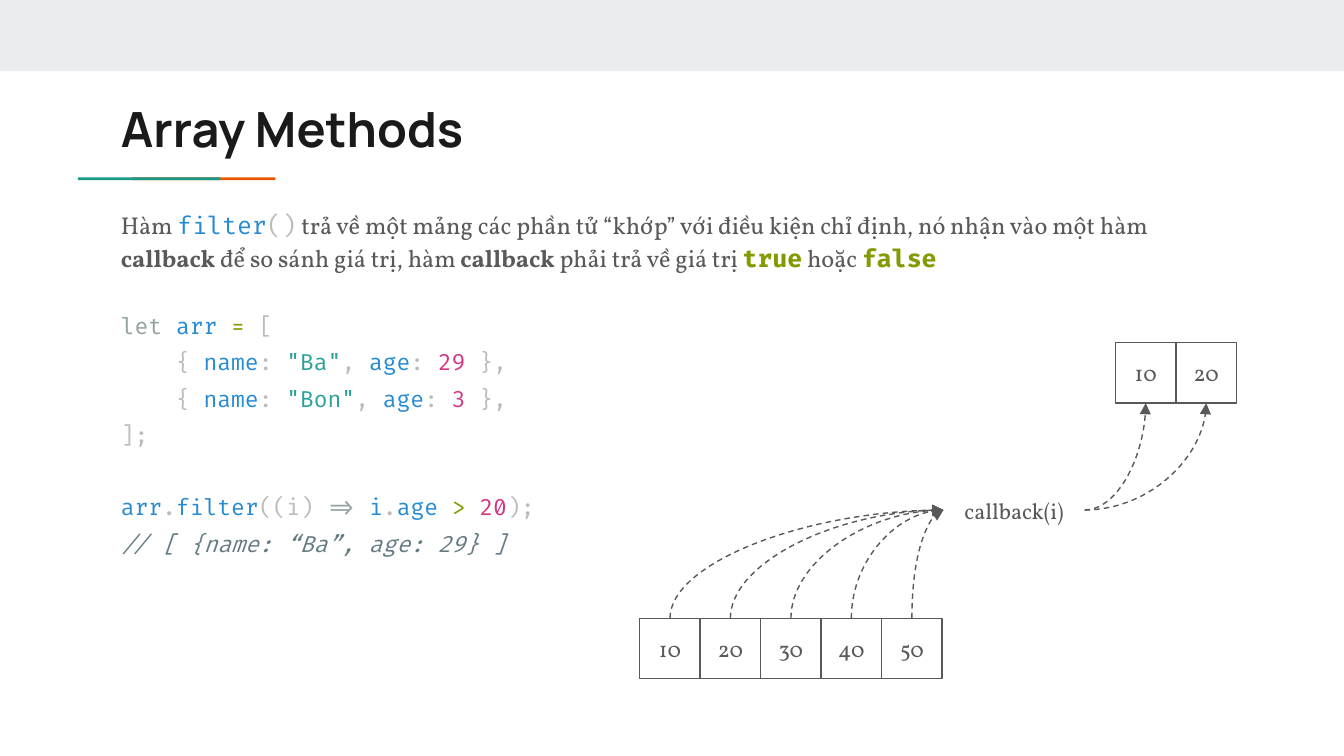
from dataclasses import dataclass
from typing import Optional

from lxml.etree import SubElement
from pptx import Presentation
from pptx.dml.color import RGBColor
from pptx.enum.dml import MSO_LINE
from pptx.enum.shapes import MSO_CONNECTOR, MSO_SHAPE
from pptx.enum.text import MSO_ANCHOR, MSO_AUTO_SIZE, PP_ALIGN
from pptx.oxml.ns import qn
from pptx.util import Emu, Pt

EMU_PER_PX = 9144
TOP, LEFT, BOTTOM, RIGHT = range(4)
CELL = 45
SERIF, CODE, HEADING = "Vollkorn", "Fira Code", "Manrope"
INK, GRAY, BLUE, GREEN = "595959", "BBBBBB", "268BD2", "859900"
CYAN, PINK, PALE, COMMENT = "2AA198", "D33682", "93A1A1", "657B83"


@dataclass(frozen=True)
class Span:
    """A stretch of text in one style."""
    text: str
    color: str = INK
    bold: bool = False
    italic: bool = False
    font: Optional[str] = None


@dataclass(frozen=True)
class Line:
    """A body paragraph with its base font and spacing."""
    spans: list
    font: str = CODE
    size: int = 12
    spacing: float = 1.36
    before: float = 0


@dataclass(frozen=True)
class Bar:
    """A filled rectangle in px."""
    left: int
    top: int
    width: int
    height: int
    color: str


def person(name: str, age: str) -> Line:
    """Return the code line of one object in the array."""
    return Line([Span("    { ", GRAY), Span("name", BLUE), Span(": ", GRAY),
                 Span(f'"{name}"', CYAN), Span(", ", GRAY), Span("age", BLUE),
                 Span(": ", GRAY), Span(age, PINK), Span(" },", GRAY)])


BARS = [
    Bar(0, 0, 1000, 53, "E9EDEE"),
    Bar(98, 132, 107, 2, "EB5600"),
    Bar(58, 132, 106, 2, "1A9988"),
]
BODY = [
    Line([Span("Hàm "), Span("filter", BLUE, font=CODE), Span("()", GRAY, font=CODE),
          Span(" trả về một mảng các phần tử “khớp” với điều kiện chỉ định, nó nhận vào một hàm "),
          Span("callback", bold=True), Span(" để so sánh giá trị, hàm "),
          Span("callback", bold=True), Span(" phải trả về giá trị "),
          Span("true", GREEN, bold=True, font=CODE), Span(" hoặc "),
          Span("false", GREEN, bold=True, font=CODE)], SERIF, 13, 1.15),
    Line([Span("let ", PALE), Span("arr ", BLUE), Span("=", GREEN), Span(" [", GRAY)], before=16),
    person("Ba", "29"),
    person("Bon", "3"),
    Line([Span("];", GRAY)]),
    Line([Span("arr", BLUE), Span(".", GRAY), Span("filter", BLUE), Span("((i) ", GRAY),
          Span("=> ", PALE), Span("i", BLUE), Span(".", GRAY), Span("age ", BLUE),
          Span("> ", GREEN), Span("20", PINK), Span(");", GRAY)], before=19),
    Line([Span("// [ {name: “Ba”, age: 29} ]", COMMENT, italic=True)]),
]


def px(length: int) -> Emu:
    """Turn px into EMU."""
    return Emu(length * EMU_PER_PX)


def color(value: str) -> RGBColor:
    """Turn a hex string into a colour."""
    return RGBColor.from_string(value)


def place(shape, left: int, top: int, width: int, height: int) -> None:
    """Move and size a shape in px."""
    shape.left, shape.top = px(left), px(top)
    shape.width, shape.height = px(width), px(height)


def prepare_frame(shape, anchor: MSO_ANCHOR):
    """Set wrapping, insets and anchor, and return the text frame."""
    frame = shape.text_frame
    frame.word_wrap, frame.auto_size = True, MSO_AUTO_SIZE.NONE
    frame.vertical_anchor = anchor
    frame.margin_left = frame.margin_right = frame.margin_top = frame.margin_bottom = px(10)
    return frame


def set_text(shape, text: str, font: str, size: int, ink: str, align: PP_ALIGN,
             anchor: MSO_ANCHOR, bold: bool = False) -> None:
    """Write one paragraph in one style."""
    paragraph = prepare_frame(shape, anchor).paragraphs[0]
    paragraph.text, paragraph.alignment = text, align
    paragraph.font.name, paragraph.font.size = font, Pt(size)
    paragraph.font.bold, paragraph.font.color.rgb = bold, color(ink)


def fill_body(body, lines: list) -> None:
    """Write the explanation and the code into the body placeholder."""
    frame = prepare_frame(body, MSO_ANCHOR.TOP)
    for index, line in enumerate(lines):
        paragraph = frame.add_paragraph() if index else frame.paragraphs[0]
        paragraph.line_spacing, paragraph.space_before = line.spacing, Pt(line.before)
        properties = paragraph._p.get_or_add_pPr()
        properties.set("marL", "0")
        properties.set("indent", "0")
        SubElement(properties, qn("a:buNone"))
        paragraph.font.name, paragraph.font.size = line.font, Pt(line.size)
        for span in line.spans:
            run = paragraph.add_run()
            run.text = span.text
            run.font.color.rgb = color(span.color)
            if span.font:
                run.font.name = span.font
            if span.bold:
                run.font.bold = True
            if span.italic:
                run.font.italic = True


def add_bar(page, bar: Bar) -> None:
    """Draw a filled rectangle."""
    shape = page.shapes.add_shape(MSO_SHAPE.RECTANGLE, px(bar.left), px(bar.top),
                                  px(bar.width), px(bar.height))
    shape.shadow.inherit = False
    shape.fill.solid()
    shape.fill.fore_color.rgb = color(bar.color)
    shape.line.fill.background()


def add_cells(page, left: int, top: int, values: list) -> list:
    """Draw a row of array cells and return them."""
    cells = []
    for index, value in enumerate(values):
        cell = page.shapes.add_shape(MSO_SHAPE.RECTANGLE, px(left + index * CELL), px(top),
                                     px(CELL), px(CELL))
        cell.shadow.inherit = False
        cell.fill.background()
        cell.line.color.rgb, cell.line.width = color(INK), Pt(0.75)
        set_text(cell, str(value), SERIF, 12, INK, PP_ALIGN.CENTER, MSO_ANCHOR.MIDDLE)
        cells.append(cell)
    return cells


def add_arrow(page, source, source_side: int, target, target_side: int) -> None:
    """Join two shapes with a dashed quarter-curve arrow."""
    arrow = page.shapes.add_connector(MSO_CONNECTOR.CURVE, 0, 0, 0, 0)
    arrow.begin_connect(source, source_side)
    arrow.end_connect(target, target_side)
    properties = arrow._element.spPr
    properties.find(qn("a:prstGeom")).set("prst", "curvedConnector2")
    if source_side == TOP:
        width, height = arrow.width, arrow.height
        shift = (width - height) // 2
        arrow.left, arrow.top = arrow.left + shift, arrow.top - shift
        arrow.width, arrow.height = height, width
        frame = properties.find(qn("a:xfrm"))
        frame.attrib.pop("flipV", None)
        frame.set("rot", str(270 * 60000))
    arrow.line.color.rgb, arrow.line.width = color(INK), Pt(0.75)
    arrow.line.dash_style = MSO_LINE.DASH
    SubElement(arrow.line._get_or_add_ln(), qn("a:tailEnd"), type="triangle")
    SubElement(properties, qn("a:effectLst"))


def main() -> None:
    """Build and save the slide."""
    deck = Presentation()
    deck.slide_width = px(1000)
    deck.slide_height = Emu(deck.slide_width * 9 // 16)
    page = deck.slides.add_slide(deck.slide_layouts[1])
    for bar in BARS:
        add_bar(page, bar)
    title, body = page.shapes.title, page.placeholders[1]
    place(title, 80, 64, 841, 59)
    set_text(title, "Array Methods", HEADING, 26, "1A1A1A", PP_ALIGN.LEFT, MSO_ANCHOR.TOP, bold=True)
    place(body, 80, 143, 841, 392)
    fill_body(body, BODY)
    inputs = add_cells(page, 476, 460, [10, 20, 30, 40, 50])
    results = add_cells(page, 830, 255, [10, 20])
    callback = page.shapes.add_textbox(px(702), px(357), px(105), px(CELL))
    set_text(callback, "callback(i)", SERIF, 12, INK, PP_ALIGN.CENTER, MSO_ANCHOR.MIDDLE)
    for cell in inputs:
        add_arrow(page, cell, TOP, callback, LEFT)
    for cell in results:
        add_arrow(page, callback, RIGHT, cell, BOTTOM)
    deck.save("out.pptx")


if __name__ == "__main__":
    main()
